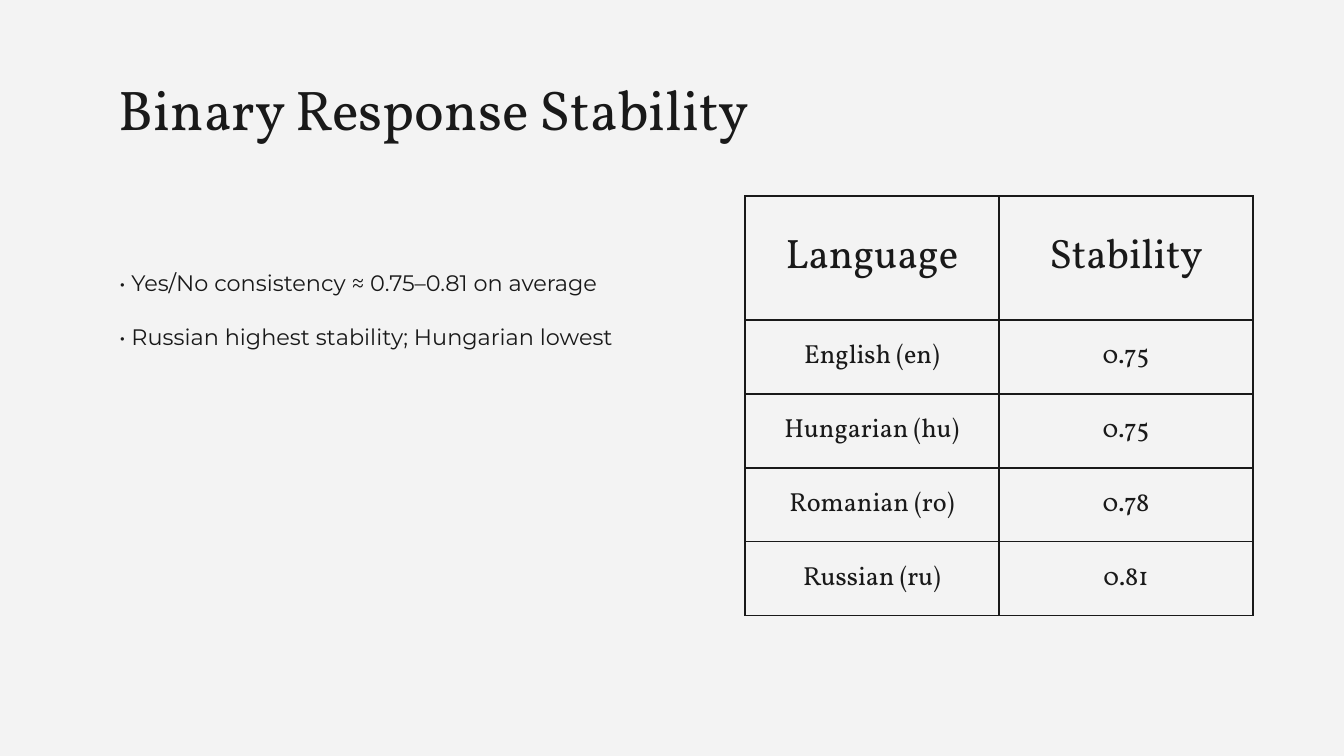
from lxml import etree
from pptx import Presentation
from pptx import util as u
from pptx.dml.color import RGBColor
from pptx.enum import text
from pptx.oxml.ns import qn

EMU_PER_PX = 914400 / 134.4
INK = RGBColor(0x19, 0x19, 0x19)
PAPER = RGBColor(0xF3, 0xF3, 0xF3)
SERIF, SANS = "Vollkorn", "Montserrat"
INSET = 13

ROWS = [
    ("Language", "Stability"),
    ("English (en)", "0.75"),
    ("Hungarian (hu)", "0.75"),
    ("Romanian (ro)", "0.78"),
    ("Russian (ru)", "0.81"),
]
COLUMN_WIDTH, HEADER_HEIGHT, ROW_HEIGHT = 254, 124, 74


def px(length):
    return u.Emu(round(length * EMU_PER_PX))


def style_paragraph(para, size, font_name):
    para.font.size = u.Pt(size)
    para.font.name = font_name
    para.font.color.rgb = INK


def add_text(page, area, words, size, font_name, top=INSET, bottom=INSET):
    box = page.shapes.add_textbox(*map(px, area))
    frame = box.text_frame
    frame.word_wrap = True
    frame.vertical_anchor = text.MSO_ANCHOR.MIDDLE
    frame.margin_left = frame.margin_right = px(INSET)
    frame.margin_top, frame.margin_bottom = px(top), px(bottom)
    frame.text = words
    style_paragraph(frame.paragraphs[0], size, font_name)


def set_borders(cell):
    """Rule all four sides; line elements must precede the cell's fill."""
    props = cell._tc.get_or_add_tcPr()
    for index, side in enumerate(("a:lnL", "a:lnR", "a:lnT", "a:lnB")):
        line = etree.Element(qn(side), w=str(u.Pt(0.75)))
        fill = etree.SubElement(line, qn("a:solidFill"))
        etree.SubElement(fill, qn("a:srgbClr"), val=str(INK))
        props.insert(index, line)


def fill_cell(cell, words, size):
    cell.text = words
    cell.fill.background()
    cell.vertical_anchor = text.MSO_ANCHOR.MIDDLE
    cell.margin_left = cell.margin_right = px(INSET)
    cell.margin_top = cell.margin_bottom = px(INSET)
    para = cell.text_frame.paragraphs[0]
    para.alignment = text.PP_ALIGN.CENTER
    style_paragraph(para, size, SERIF)
    set_borders(cell)


def add_stability_table(page, left, top):
    heights = [HEADER_HEIGHT] + [ROW_HEIGHT] * (len(ROWS) - 1)
    columns = len(ROWS[0])
    table = page.shapes.add_table(
        len(ROWS), columns, px(left), px(top),
        px(COLUMN_WIDTH * columns), px(sum(heights))).table
    table.first_row = table.horz_banding = False
    for column in table.columns:
        column.width = px(COLUMN_WIDTH)
    for index, (height, values) in enumerate(zip(heights, ROWS)):
        table.rows[index].height = px(height)
        for position, words in enumerate(values):
            fill_cell(table.cell(index, position), words, 14 if index else 22)


def main():
    deck = Presentation()
    deck.slide_width, deck.slide_height = px(1344), px(756)
    page = deck.slides.add_slide(deck.slide_layouts[6])
    page.background.fill.solid()
    page.background.fill.fore_color.rgb = PAPER

    add_text(page, (106, 66, 1133, 85), "Binary Response Stability", 30, SERIF)
    add_text(page, (106, 253, 762, 59),
             "• Yes/No consistency ≈ 0.75–0.81 on average", 12, SANS)
    add_text(page, (106, 319, 767, 59),
             "• Russian highest stability; Hungarian lowest", 12, SANS,
             top=0, bottom=23)
    add_stability_table(page, 745, 196)
    deck.save("out.pptx")


if __name__ == "__main__":
    main()
